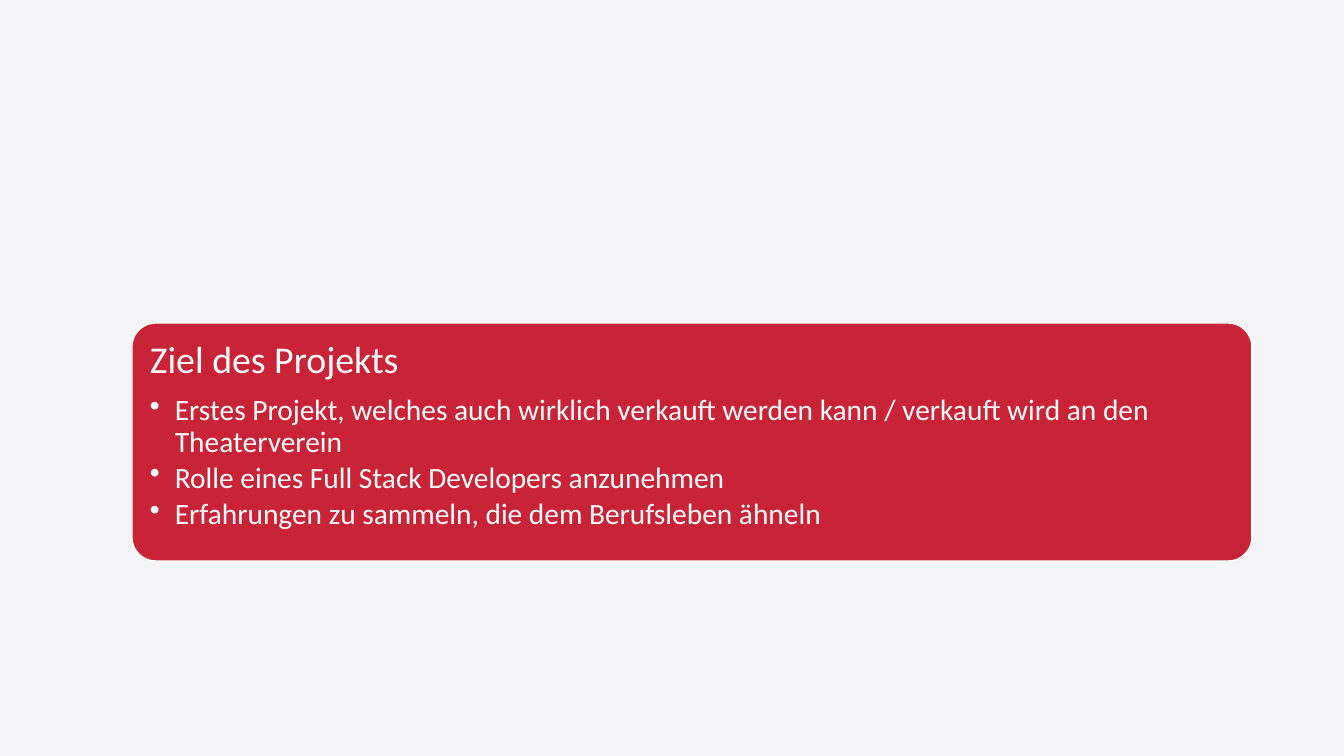
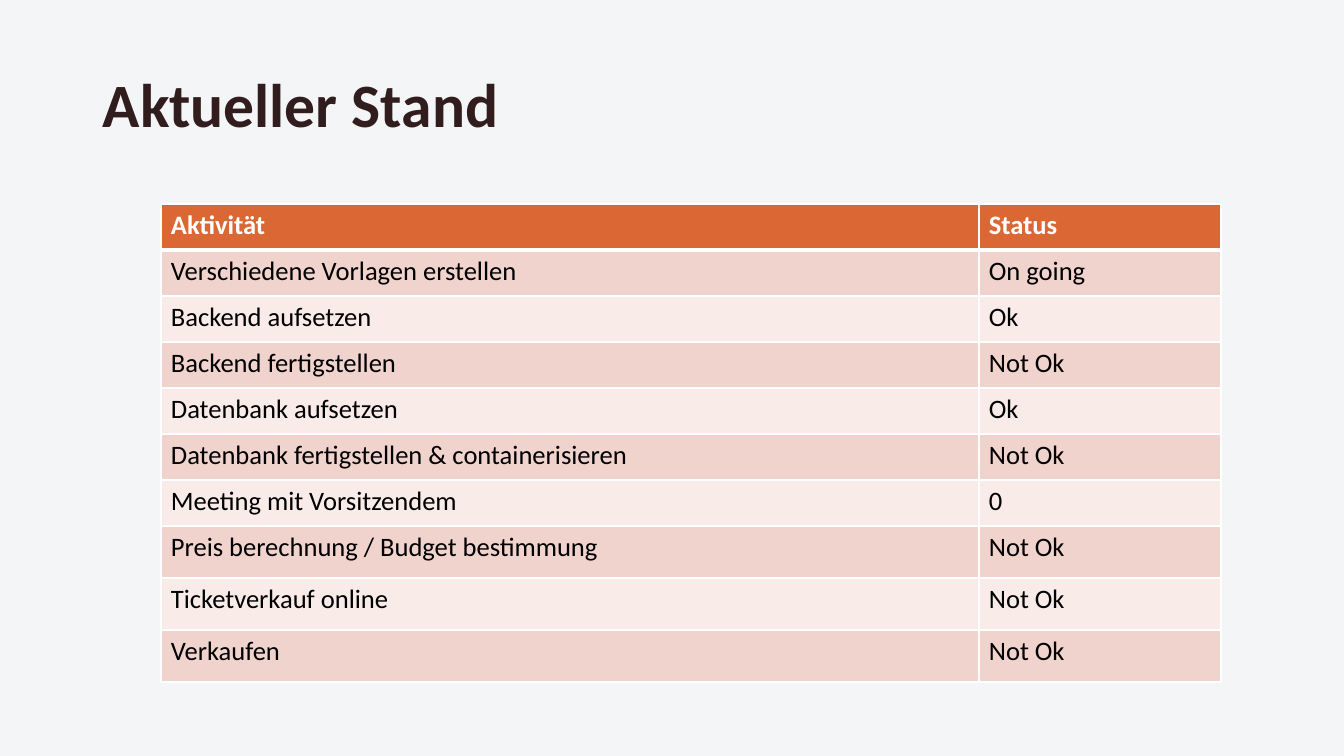
from lxml import etree
from pptx import Presentation
from pptx.dml.color import RGBColor
from pptx.enum.shapes import MSO_SHAPE
from pptx.enum.text import MSO_ANCHOR, PP_ALIGN
from pptx.oxml.ns import qn
from pptx.util import Pt

RECT, ROUND = MSO_SHAPE.RECTANGLE, MSO_SHAPE.ROUNDED_RECTANGLE
TOP, LEFT = MSO_ANCHOR.TOP, PP_ALIGN.LEFT
SCALE = 914400 / 100.8
WIDTH, HEIGHT = 1344, 756
FONT = "Calibri"
WHITE, BLACK, BACKDROP, RED = "FFFFFF", "000000", "F0F2F3", "C92337"
TITLE_COLOR, HEADER, BANDS = "311C1E", "DB6735", ("F1D3CE", "F8EBE8")
TITLE = {"size": Pt(44), "color": TITLE_COLOR, "bold": True}
PANEL_HEAD = {"size": Pt(27), "color": WHITE}
PANEL_ITEM = {"size": Pt(21), "color": WHITE}
TABLE_HEAD = {"size": Pt(19), "color": WHITE, "bold": True}
TABLE_BODY = {"size": Pt(19), "color": BLACK, "bold": False}

GOALS = [
    "Erstes Projekt, welches auch wirklich verkauft werden kann / verkauft wird an den Theaterverein",
    "Rolle eines Full Stack Developers anzunehmen",
    "Erfahrungen zu sammeln, die dem Berufsleben ähneln",
]
ACTIVITIES = [
    ("Aktivität", "Status"),
    ("Verschiedene Vorlagen erstellen", "On going"),
    ("Backend aufsetzen", "Ok"),
    ("Backend fertigstellen", "Not Ok"),
    ("Datenbank aufsetzen", "Ok"),
    ("Datenbank fertigstellen & containerisieren", "Not Ok"),
    ("Meeting mit Vorsitzendem", "0"),
    ("Preis berechnung / Budget bestimmung", "Not Ok"),
    ("Ticketverkauf online", "Not Ok"),
    ("Verkaufen", "Not Ok"),
]


def px(*lengths):
    """Turn pixels into a list of EMU lengths."""
    return [round(n * SCALE) for n in lengths]


def rgb(value):
    """Turn a hex string into a colour."""
    return RGBColor.from_string(value)


def write(p, text, style):
    """Add one formatted run to a paragraph."""
    r = p.add_run()
    r.text = text
    r.font.name = FONT
    for name, value in style.items():
        if name == "color":
            r.font.color.rgb = rgb(value)
        else:
            setattr(r.font, name, value)


def set_margins(target, horizontal, vertical):
    """Set the inner margins of a text frame or cell in pixels."""
    target.margin_left = target.margin_right = px(horizontal)[0]
    target.margin_top = target.margin_bottom = px(vertical)[0]


def add_box(s, kind, box, fill):
    """Add a flat filled shape without outline."""
    sp = s.shapes.add_shape(kind, *px(*box))
    sp.shadow.inherit = False
    sp.fill.solid()
    sp.fill.fore_color.rgb = rgb(fill)
    sp.line.fill.background()
    return sp


def add_page(prs):
    """Add a blank slide with the shared translucent backdrop."""
    s = prs.slides.add_slide(prs.slide_layouts[6])
    sp = add_box(s, RECT, (0, 0, WIDTH, HEIGHT), BACKDROP)
    color = sp.fill._xPr.find(".//" + qn("a:srgbClr"))
    etree.SubElement(color, qn("a:alpha"), val="70000")
    return s


def add_title(s, text, box):
    """Add the slide title."""
    tf = s.shapes.add_textbox(*px(*box)).text_frame
    tf.word_wrap = True
    tf.vertical_anchor = TOP
    set_margins(tf, 10, 5)
    write(tf.paragraphs[0], text, TITLE)


def add_bullet(p, indent):
    """Give a paragraph a hanging bullet."""
    pPr = p._p.get_or_add_pPr()
    pPr.set("marL", str(indent))
    pPr.set("indent", str(-indent))
    etree.SubElement(pPr, qn("a:buChar"), char="•")


def add_panel(s, heading, items, box):
    """Add a rounded panel with a heading and bullets."""
    sp = add_box(s, ROUND, box, RED)
    sp.adjustments[0] = 0.1
    sp.line.color.rgb = rgb(WHITE)
    sp.line.width = Pt(1)
    tf = sp.text_frame
    tf.word_wrap = True
    tf.vertical_anchor = TOP
    set_margins(tf, 11, 11)
    for i, text in enumerate([heading] + items):
        p = tf.add_paragraph() if i else tf.paragraphs[0]
        p.alignment = LEFT
        p.line_spacing = 0.9
        p.space_after = Pt(3.15 if i else 9.45)
        if i:
            add_bullet(p, px(25)[0])
        write(p, text, PANEL_ITEM if i else PANEL_HEAD)


def set_borders(cell, widths):
    """Draw white cell borders with a width in points for each side."""
    tcPr = cell._tc.get_or_add_tcPr()
    for i, (side, width) in enumerate(widths.items()):
        ln = etree.Element(qn("a:ln" + side), w=str(Pt(width)))
        fill = etree.SubElement(ln, qn("a:solidFill"))
        etree.SubElement(fill, qn("a:srgbClr"), val=WHITE)
        tcPr.insert(i, ln)


def add_status_table(s, rows, left, top, widths, heights):
    """Add the banded table of activities and their status."""
    box = px(left, top, sum(widths), sum(heights))
    table = s.shapes.add_table(len(rows), len(widths), *box).table
    for column, width in zip(table.columns, px(*widths)):
        column.width = width
    for i, (row, height) in enumerate(zip(table.rows, px(*heights))):
        row.height = height
        for cell, text in zip(row.cells, rows[i]):
            set_margins(cell, 10, 5)
            cell.fill.solid()
            cell.fill.fore_color.rgb = rgb(BANDS[(i - 1) % 2] if i else HEADER)
            set_borders(cell, {"L": 1, "R": 1, "T": 3 if i == 1 else 1,
                               "B": 1 if i else 3})
            write(cell.text_frame.paragraphs[0], text,
                  TABLE_BODY if i else TABLE_HEAD)


def build_goal_slide(prs):
    """Build the slide with the project goals."""
    s = add_page(prs)
    add_panel(s, "Ziel des Projekts", GOALS, (132, 323, 1120, 238))


def build_status_slide(prs):
    """Build the slide with the current status."""
    s = add_page(prs)
    add_title(s, "Aktueller Stand", (93, 61, 1141, 141))
    add_status_table(s, ACTIVITIES, 161, 204, [818, 242], [46] * 7 + [52] * 3)


def main():
    """Build and save the presentation."""
    prs = Presentation()
    prs.slide_width, prs.slide_height = px(WIDTH, HEIGHT)
    build_goal_slide(prs)
    build_status_slide(prs)
    prs.save("out.pptx")


main()
